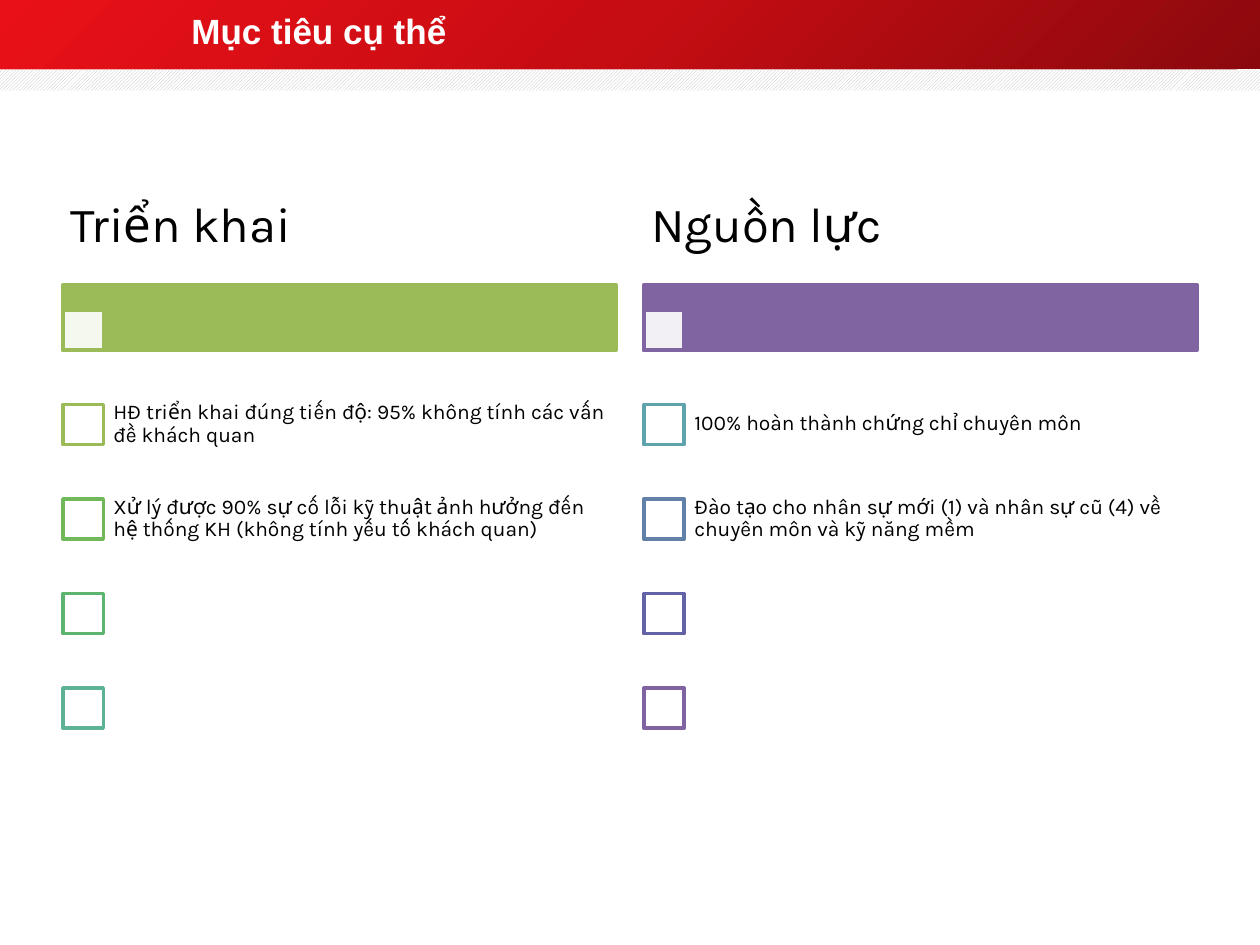
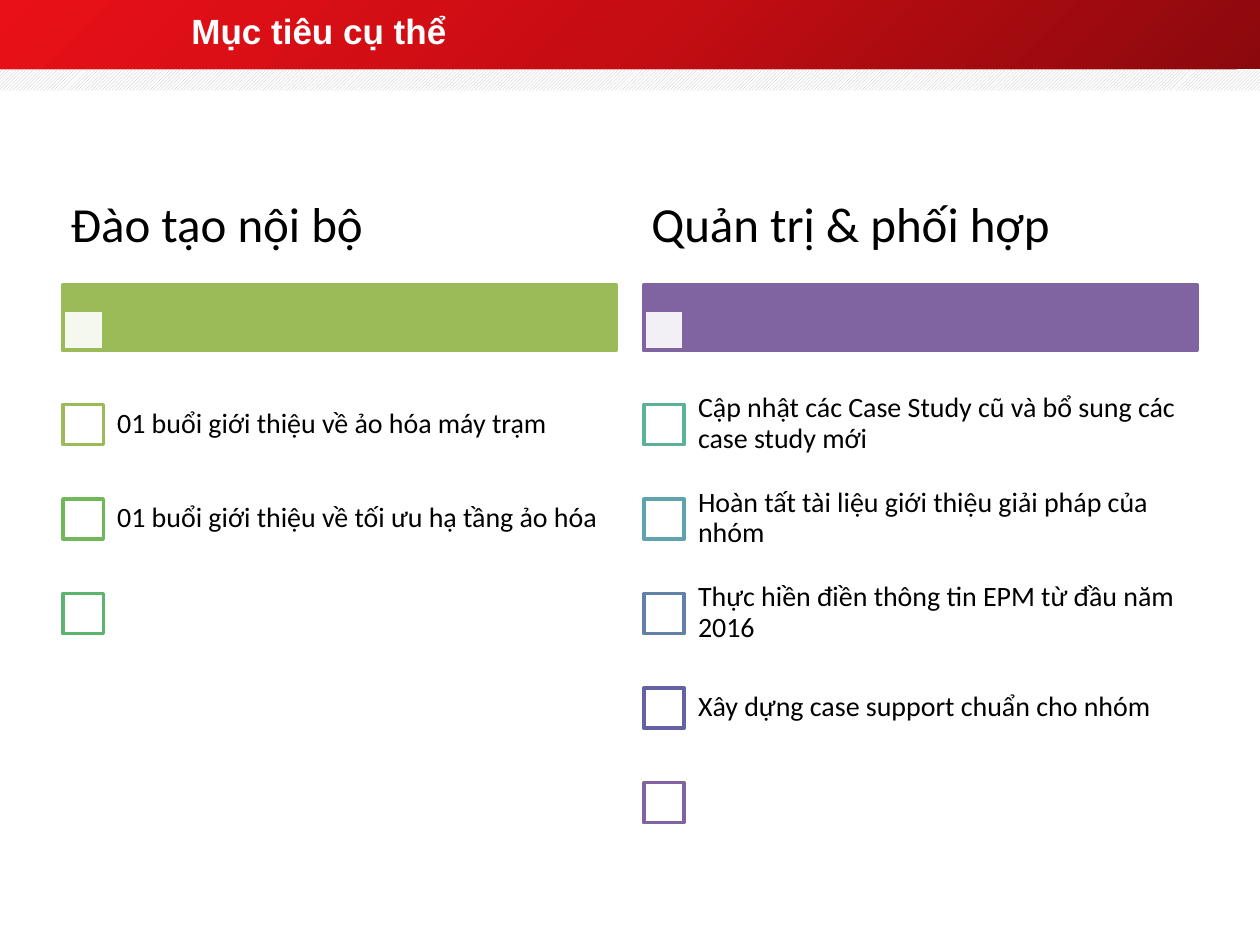
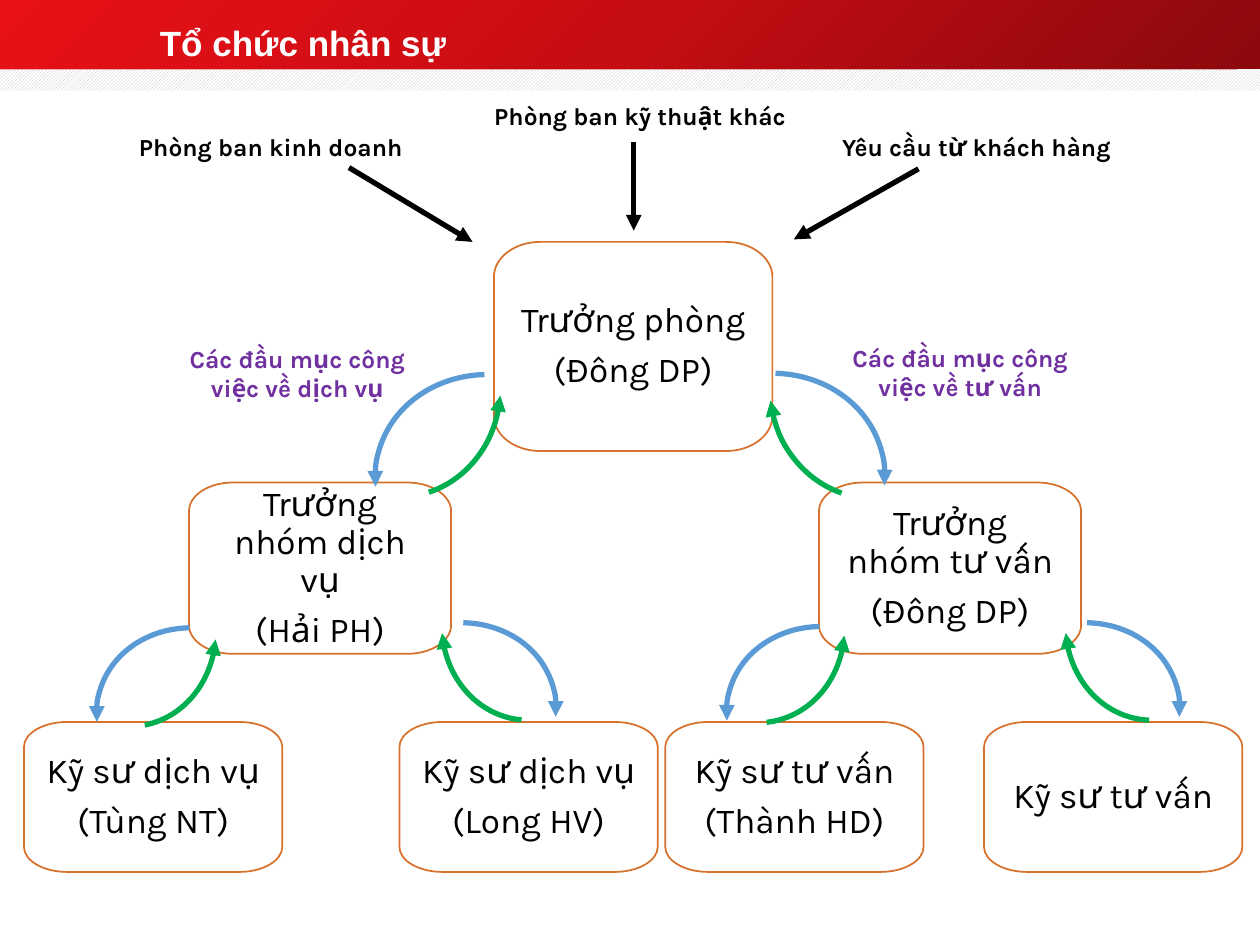
import copy

import pptx
import pptx.dml.color
import pptx.enum.dml
import pptx.enum.shapes
import pptx.enum.text
import pptx.oxml.ns
import pptx.util
from lxml import etree

Inches = pptx.util.Inches
Pt = pptx.util.Pt
RGBColor = pptx.dml.color.RGBColor
Shape = pptx.enum.shapes.MSO_SHAPE
Align = pptx.enum.text.PP_ALIGN
qn = pptx.oxml.ns.qn

WHITE = RGBColor(0xFF, 0xFF, 0xFF)
BLACK = RGBColor(0x00, 0x00, 0x00)
DARK_RED = RGBColor(0x8B, 0x09, 0x0D)
RED = RGBColor(0xC5, 0x0D, 0x13)
BRIGHT_RED = RGBColor(0xEA, 0x10, 0x17)
GRAY = RGBColor(0xBF, 0xBF, 0xBF)
OLIVE = RGBColor(0x9B, 0xBB, 0x59)
LEAF = RGBColor(0x70, 0xB8, 0x5A)
GREEN = RGBColor(0x5C, 0xB4, 0x6F)
MINT = RGBColor(0x5D, 0xB1, 0x95)
TEAL = RGBColor(0x5F, 0xA4, 0xAD)
STEEL = RGBColor(0x61, 0x81, 0xA9)
INDIGO = RGBColor(0x63, 0x62, 0xA6)
PURPLE = RGBColor(0x80, 0x64, 0xA2)
ORANGE = RGBColor(0xD7, 0x71, 0x2C)
ARC_BLUE = RGBColor(0x5B, 0x9B, 0xD5)
ARC_GREEN = RGBColor(0x00, 0xB0, 0x50)
VIOLET = RGBColor(0x70, 0x30, 0xA0)


def add_rectangle(page, left, top, width, height, fill, line):
    shape = page.shapes.add_shape(
        Shape.RECTANGLE, Inches(left), Inches(top), Inches(width), Inches(height))
    shape.shadow.inherit = False
    if fill is not None:
        shape.fill.solid()
        shape.fill.fore_color.rgb = fill
    if line is None:
        shape.line.fill.background()
    else:
        shape.line.color.rgb = line
        shape.line.width = Pt(2)
    return shape


def write_text(shape, lines, font, size, color=BLACK, bold=False, align=Align.LEFT,
               inset=None, spacing=None, gap=0, anchor=pptx.enum.text.MSO_ANCHOR.MIDDLE):
    frame = shape.text_frame
    frame.word_wrap = True
    frame.vertical_anchor = anchor
    if inset:
        frame.margin_left = frame.margin_right = Inches(inset[0])
        frame.margin_top = frame.margin_bottom = Inches(inset[1])
    frame.text = "\n".join(lines)
    for para in frame.paragraphs:
        para.alignment = align
        para.line_spacing = spacing
        para.space_after = Pt(gap)
        para.font.name = font
        para.font.size = Pt(size)
        para.font.bold = bold
        para.font.color.rgb = color


deck = pptx.Presentation()
deck.slide_width = Inches(10)
deck.slide_height = Inches(7.5)
blank_layout = deck.slide_layouts[6]

pages = []
for title, left, top in [("Mục tiêu cụ thể", 1.42, 0), ("Mục tiêu cụ thể", 1.42, 0),
                         ("Tổ chức nhân sự", 1.17, 0.1)]:
    page = deck.slides.add_slide(blank_layout)
    box = page.shapes.add_textbox(Inches(left), Inches(top), Inches(7.58), Inches(0.48))
    write_text(box, [title], "Arial", 20, WHITE, True)
    pages.append(page)

band = add_rectangle(pages[0], 0, 0, 10, 0.55, None, None)
band.fill.gradient()
band.fill.gradient_angle = 135
first_stop = band.fill.gradient_stops[0]._gs
first_stop.addnext(copy.deepcopy(first_stop))
for stop, position, color in zip(band.fill.gradient_stops, (0, 0.5, 1),
                                 (DARK_RED, RED, BRIGHT_RED)):
    stop.position = position
    stop.color.rgb = color
hatch = add_rectangle(pages[0], 0, 0.55, 10, 0.17, None, None)
hatch.fill.patterned()
hatch.fill.pattern = pptx.enum.dml.MSO_PATTERN.DARK_UPWARD_DIAGONAL
hatch.fill.fore_color.rgb = GRAY
hatch.fill.back_color.rgb = WHITE
for number, shared in enumerate((band, hatch), 20):
    shared._element.nvSpPr.cNvPr.set("id", str(number))
    blank_layout.shapes._spTree.append(shared._element)

goal_pages = [
    (pages[0], "Karla", 12, 0.09, [
        ("Triển khai", OLIVE, [
            (OLIVE, "HĐ triển khai đúng tiến độ: 95% không tính các vấn đề khách quan"),
            (LEAF, "Xử lý được 90% sự cố lỗi kỹ thuật ảnh hưởng đến hệ thống KH "
                   "(không tính yếu tố khách quan)"),
            (GREEN, None),
            (MINT, None)]),
        ("Nguồn lực", PURPLE, [
            (TEAL, "100% hoàn thành chứng chỉ chuyên môn"),
            (STEEL, "Đào tạo cho nhân sự mới (1) và nhân sự cũ (4) về chuyên môn "
                    "và kỹ năng mềm"),
            (INDIGO, None),
            (PURPLE, None)])]),
    (pages[1], "Calibri", 16, 0.12, [
        ("Đào tạo nội bộ", OLIVE, [
            (OLIVE, "01 buổi giới thiệu về ảo hóa máy trạm"),
            (LEAF, "01 buổi giới thiệu về tối ưu hạ tầng ảo hóa"),
            (GREEN, None)]),
        ("Quản trị & phối hợp", PURPLE, [
            (MINT, "Cập nhật các Case Study cũ và bổ sung các case study mới"),
            (TEAL, "Hoàn tất tài liệu giới thiệu giải pháp của nhóm"),
            (STEEL, "Thực hiền điền thông tin EPM từ đầu năm 2016"),
            (INDIGO, "Xây dựng case support chuẩn cho nhóm"),
            (PURPLE, None)])]),
]
for page, font, size, inset, columns in goal_pages:
    for column, (heading, color, goals) in enumerate(columns):
        left = 0.5 + 4.61 * column
        add_rectangle(page, left, 2.26, 4.39, 0.52, color, color)
        marker = add_rectangle(page, left, 2.46, 0.32, 0.32, WHITE, color)
        white_fill = marker._element.spPr.find(qn("a:solidFill")).find(qn("a:srgbClr"))
        etree.SubElement(white_fill, qn("a:alpha")).set("val", "90000")
        box = page.shapes.add_textbox(Inches(left), Inches(1.33), Inches(4.39), Inches(0.93))
        write_text(box, [heading], font, 28, inset=(0.06, 0.04), spacing=0.9)
        for row, (outline, goal) in enumerate(goals):
            offset = 0.75 * row
            add_rectangle(page, left, 3.21 + offset, 0.32, 0.32, WHITE, outline)
            if goal:
                box = page.shapes.add_textbox(
                    Inches(left + 0.31), Inches(2.99 + offset), Inches(4.08), Inches(0.75))
                write_text(box, [goal], font, size, inset=(inset, inset), spacing=0.9)

chart_page = pages[2]
HEAD, LEAD, ENGINEER = (2.21, 1.66, 0.19), (2.08, 1.36, 0.19), (2.05, 1.19, 0.14)
CURVE = 0.55
roles = [
    (1.5, 3.83, LEAD, ["Trưởng nhóm dịch vụ", "(Hải PH)"]),
    (3.17, 5.73, ENGINEER, ["Kỹ sư dịch vụ", "(Long HV)"]),
    (0.19, 5.73, ENGINEER, ["Kỹ sư dịch vụ", "(Tùng NT)"]),
    (6.5, 3.83, LEAD, ["Trưởng nhóm tư vấn", "(Đông DP)"]),
    (7.81, 5.73, ENGINEER, ["Kỹ sư tư vấn"]),
    (5.28, 5.73, ENGINEER, ["Kỹ sư tư vấn", "(Thành HD)"]),
    (3.92, 1.92, HEAD, ["Trưởng phòng", "(Đông DP)"]),
]
for left, top, (width, height, inset), lines in roles:
    right, bottom = left + width, top + height
    radius_x, radius_y = width / 6, height / 6
    outline = [(Inches(x), Inches(y)) for x, y in [
        (left, top + radius_y), (left + radius_x, top),
        (right - radius_x, top), (right, top + radius_y),
        (right, bottom - radius_y), (right - radius_x, bottom),
        (left + radius_x, bottom), (left, bottom - radius_y)]]
    builder = chart_page.shapes.build_freeform(*outline[0])
    builder.add_line_segments(outline[1:] + outline[:1], close=True)
    role = builder.convert_to_shape()
    corners = [(left, top), (right, top), (right, bottom), (left, bottom)]
    edges = list(role._element.spPr.iter(qn("a:lnTo")))
    for index, (corner_x, corner_y) in enumerate(corners):
        edge = edges[2 * index]
        edge.tag = qn("a:cubicBezTo")
        for place, (x, y) in enumerate(outline[2 * index:2 * index + 2]):
            control = etree.Element(qn("a:pt"))
            control.set("x", str(round(x + CURVE * (Inches(corner_x) - x) - Inches(left))))
            control.set("y", str(round(y + CURVE * (Inches(corner_y) - y) - Inches(top))))
            edge.insert(place, control)
    role.shadow.inherit = False
    role.fill.solid()
    role.fill.fore_color.rgb = WHITE
    role.line.color.rgb = ORANGE
    role.line.width = Pt(1)
    write_text(role, lines, "Karla", 20, align=Align.CENTER,
               inset=(inset, inset), spacing=0.9, gap=7)

LARGE, SMALL = (1.91, 1.72), (1.62, 1.44)
arcs = [
    (2.97, 2.98, LARGE, 16, True, 174.76, 10.44, ARC_BLUE),
    (0.76, 4.99, SMALL, 16, True, 174.76, 10.44, ARC_BLUE),
    (5.76, 4.98, SMALL, 16, True, 174.76, 10.44, ARC_BLUE),
    (5.12, 2.97, LARGE, 344, False, 174.76, 10.44, ARC_BLUE),
    (2.8, 4.95, SMALL, 344, False, 174.76, 10.44, ARC_BLUE),
    (7.75, 4.95, SMALL, 344, False, 174.76, 10.44, ARC_BLUE),
    (0.18, 4.24, SMALL, 77.8, False, 174.76, 0.51, ARC_GREEN),
    (5.17, 4.21, SMALL, 77.8, False, 174.76, 2.88, ARC_GREEN),
    (8.37, 4.19, SMALL, 282.2, True, 174.76, 4.79, ARC_GREEN),
    (3.42, 4.19, SMALL, 282.2, True, 174.76, 3.49, ARC_GREEN),
    (2.15, 2.14, LARGE, 72.5, False, 178.02, 215.59, ARC_GREEN),
    (6.03, 2.13, (1.92, 1.75), 287.5, True, 179.27, 215.15, ARC_GREEN),
]
for left, top, (width, height), rotation, mirrored, start, end, color in arcs:
    arc = chart_page.shapes.add_shape(
        Shape.ARC, Inches(left), Inches(top), Inches(width), Inches(height))
    arc.shadow.inherit = False
    arc.adjustments[0] = start
    arc.adjustments[1] = end
    arc.rotation = rotation
    if mirrored:
        arc._element.spPr.find(qn("a:xfrm")).set("flipH", "1")
    arc.fill.background()
    arc.line.color.rgb = color
    arc.line.width = Pt(3)
    arrow_end = "a:tailEnd" if color == ARC_BLUE else "a:headEnd"
    etree.SubElement(arc.line._get_or_add_ln(), qn(arrow_end)).set("type", "triangle")

for start_x, start_y, end_x, end_y in [(2.77, 1.33, 3.75, 1.92), (5.03, 1.13, 5.03, 1.83),
                                       (7.29, 1.34, 6.3, 1.9)]:
    arrow = chart_page.shapes.add_connector(
        pptx.enum.shapes.MSO_CONNECTOR.STRAIGHT,
        Inches(start_x), Inches(start_y), Inches(end_x), Inches(end_y))
    arrow.line.color.rgb = BLACK
    arrow.line.width = Pt(3)
    etree.SubElement(arrow.line._get_or_add_ln(), qn("a:tailEnd")).set("type", "triangle")
    etree.SubElement(arrow._element.spPr, qn("a:effectLst"))

for text, left, top, width, height, color in [
        ("Các đầu mục công việc về dịch vụ", 1.21, 2.68, 2.3, 0.57, VIOLET),
        ("Các đầu mục công việc về tư vấn", 6.47, 2.67, 2.3, 0.57, VIOLET),
        ("Phòng ban kinh doanh", 1, 1, 2.3, 0.57, BLACK),
        ("Phòng ban kỹ thuật khác", 3.75, 0.75, 2.66, 0.34, BLACK),
        ("Yêu cầu từ khách hàng", 6.42, 1, 2.66, 0.34, BLACK)]:
    box = chart_page.shapes.add_textbox(
        Inches(left), Inches(top), Inches(width), Inches(height))
    write_text(box, [text], "Karla", 14, color, True, Align.CENTER,
               anchor=pptx.enum.text.MSO_ANCHOR.TOP)

deck.save("out.pptx")
